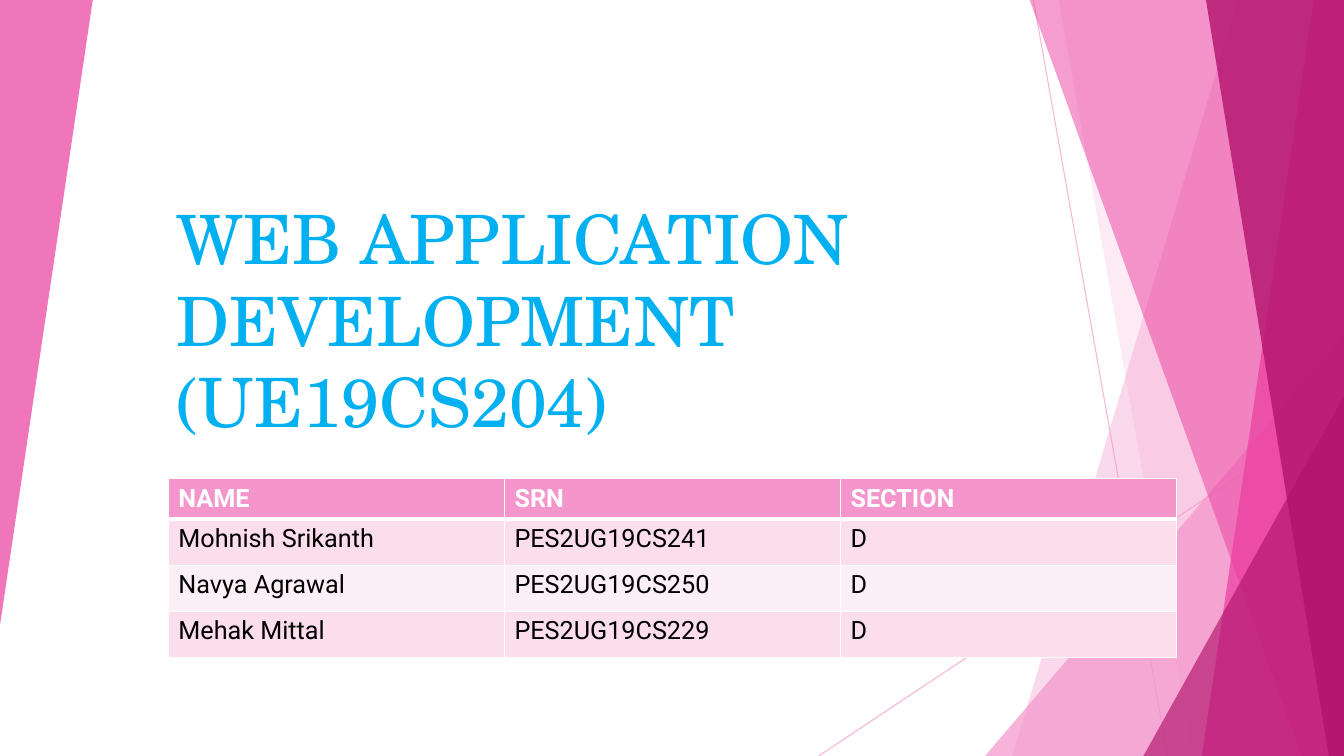
"""Build the title slide of a web application course with a table of its team."""
import lxml.etree
import pptx
import pptx.dml.color
import pptx.enum.shapes
import pptx.enum.text
import pptx.oxml.ns
import pptx.util

Inches, Pt = pptx.util.Inches, pptx.util.Pt
RGBColor = pptx.dml.color.RGBColor
qn = pptx.oxml.ns.qn

PINK = RGBColor(0xF4, 0x96, 0xCB)
ROSE = RGBColor(0xEB, 0x3D, 0x9F)
MAGENTA = RGBColor(0xB2, 0x13, 0x6D)
SKY = RGBColor(0x00, 0xB0, 0xF0)
WHITE = RGBColor(0xFF, 0xFF, 0xFF)
BLACK = RGBColor(0x00, 0x00, 0x00)
ROW_TINTS = (RGBColor(0xFB, 0xDD, 0xEC), RGBColor(0xFD, 0xEF, 0xF6))

WIDTH, HEIGHT = 13.33, 7.5
BLEED_TOP = -0.01
TITLE_LINES = ("WEB APPLICATION", "DEVELOPMENT (UE19CS204)")
TEAM = (
    ("NAME", "SRN", "SECTION"),
    ("Mohnish Srikanth", "PES2UG19CS241", "D"),
    ("Navya Agrawal", "PES2UG19CS250", "D"),
    ("Mehak Mittal", "PES2UG19CS229", "D"),
)
TABLE_BOX = (1.67, 4.75, 10, 1.76)
HEADER_HEIGHT = 0.39

RAYS = (((10.25, 0), (11.58, HEIGHT)), ((WIDTH, 4.03), (8.12, HEIGHT)))
# Bands give their left edge at the top and bottom; triangles give box and rotation.
DECORATION = (
    ("band", (12.28, 10.04), PINK, 36),
    ("band", (10.5, 11.83), PINK, 20),
    ("triangle", (9.77, 3.33, 3.56, 4.17, 0), PINK, 72),
    ("band", (10.21, 12.91), ROSE, 50),
    ("band", (13.03, 11.92), ROSE, 70),
    ("band", (11.96, 13.18), MAGENTA, 80),
    ("triangle", (11.34, 3.93, 1.99, 3.57, 0), MAGENTA, 66),
    ("triangle", (0, 0, 0.92, 6.2, 180), ROSE, 70),
)


def set_opacity(element, percent):
    color = next(element.iter(qn("a:srgbClr")))
    lxml.etree.SubElement(color, qn("a:alpha"), val=str(percent * 1000))


def add_ray(shapes, start, end):
    ends = [Inches(value) for value in start + end]
    ray = shapes.add_connector(pptx.enum.shapes.MSO_CONNECTOR.STRAIGHT, *ends)
    ray.line.color.rgb = PINK
    ray.line.width = Pt(0.75)
    properties = ray.line._get_or_add_ln()
    set_opacity(properties, 70)
    lxml.etree.SubElement(properties.getparent(), qn("a:effectLst"))


def add_band(shapes, top_x, bottom_x):
    corners = ((WIDTH, BLEED_TOP), (WIDTH, HEIGHT), (bottom_x, HEIGHT))
    outline = shapes.build_freeform(Inches(top_x), Inches(BLEED_TOP))
    outline.add_line_segments([(Inches(x), Inches(y)) for x, y in corners])
    return outline.convert_to_shape()


def add_triangle(shapes, left, top, width, height, rotation):
    kind = pptx.enum.shapes.MSO_SHAPE.ISOSCELES_TRIANGLE
    triangle = shapes.add_shape(kind, Inches(left), Inches(top), Inches(width), Inches(height))
    triangle.adjustments[0] = 1
    triangle.rotation = rotation
    return triangle


def add_span(para, text, font, size, color, bold=False):
    span = para.add_run()
    span.text = text
    span.font.name = font
    span.font.size = Pt(size)
    span.font.color.rgb = color
    span.font.bold = bold


def add_borders(cell, widths):
    properties = cell._tc.get_or_add_tcPr()
    for side, width in zip("LRTB", widths):
        border = lxml.etree.SubElement(properties, qn(f"a:ln{side}"), w=str(Pt(width)))
        fill = lxml.etree.SubElement(border, qn("a:solidFill"))
        lxml.etree.SubElement(fill, qn("a:srgbClr"), val=str(WHITE))


deck = pptx.Presentation()
deck.slide_width, deck.slide_height = Inches(WIDTH), Inches(HEIGHT)
page = deck.slides.add_slide(deck.slide_layouts[6])
shapes = page.shapes

for start, end in RAYS:
    add_ray(shapes, start, end)

builders = {"band": add_band, "triangle": add_triangle}
for kind, geometry, color, opacity in DECORATION:
    shape = builders[kind](shapes, *geometry)
    shape.shadow.inherit = False
    shape.fill.solid()
    shape.fill.fore_color.rgb = color
    set_opacity(shape.fill._xPr, opacity)
    shape.line.fill.background()

title = shapes.add_textbox(Inches(1.65), Inches(2.63), Inches(8.49), Inches(1.8))
title.text_frame.word_wrap = True
title.text_frame.vertical_anchor = pptx.enum.text.MSO_ANCHOR.BOTTOM
para = title.text_frame.paragraphs[0]
for index, line in enumerate(TITLE_LINES):
    if index:
        para.add_line_break()
    add_span(para, line, "TeX Gyre Schola", 48.6, SKY)

left, top, width, height = TABLE_BOX
table = shapes.add_table(
    len(TEAM), len(TEAM[0]), Inches(left), Inches(top), Inches(width), Inches(height)
).table
body_height = (height - HEADER_HEIGHT) / (len(TEAM) - 1)
for row, texts in enumerate(TEAM):
    header = row == 0
    table.rows[row].height = Inches(HEADER_HEIGHT if header else body_height)
    for column, text in enumerate(texts):
        cell = table.cell(row, column)
        add_borders(cell, (1, 1, 3 if row == 1 else 1, 3 if header else 1))
        cell.fill.solid()
        cell.fill.fore_color.rgb = PINK if header else ROW_TINTS[(row - 1) % 2]
        add_span(cell.text_frame.paragraphs[0], text, "Roboto", 18,
                 WHITE if header else BLACK, header)

deck.save("out.pptx")
